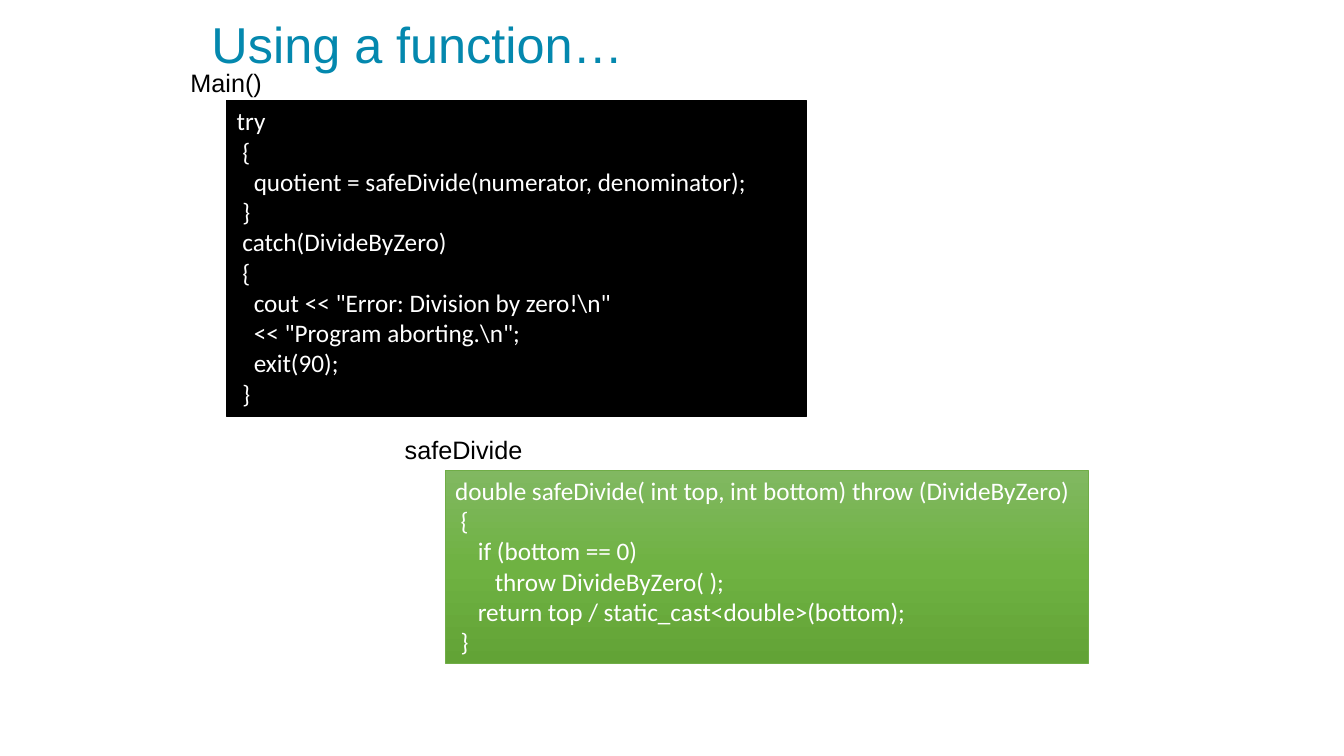
from copy import deepcopy

from pptx import Presentation
from pptx.dml.color import RGBColor
from pptx.enum.shapes import MSO_SHAPE
from pptx.enum.text import MSO_ANCHOR, PP_ALIGN
from pptx.util import Pt

MAIN_CODE = r'''try
 {
   quotient = safeDivide(numerator, denominator);
 }
 catch(DivideByZero)
 {
   cout << "Error: Division by zero!\n"
   << "Program aborting.\n";
   exit(90);
 }'''

SAFE_DIVIDE_CODE = '''double safeDivide( int top, int bottom) throw (DivideByZero)
 {
    if (bottom == 0)
       throw DivideByZero( );
    return top / static_cast<double>(bottom);
 }'''


def color(value):
    return RGBColor.from_string(value)


def write(frame, text, size, font, ink, wrap):
    frame.word_wrap = wrap
    frame.vertical_anchor = MSO_ANCHOR.TOP
    frame.text = text
    for paragraph in frame.paragraphs:
        paragraph.alignment = PP_ALIGN.LEFT
        for run in paragraph.runs:
            run.font.size = Pt(size)
            run.font.name = font
            run.font.color.rgb = color(ink)


def add_label(slide, text, left, top, width, height, size=18, ink="000000", wrap=False):
    label = slide.shapes.add_textbox(Pt(left), Pt(top), Pt(width), Pt(height))
    write(label.text_frame, text, size, "Arial", ink, wrap)


def fill_gradient(fill, shape, stops):
    """Fill from top to bottom with evenly spaced colours."""
    fill.gradient()
    fill.gradient_angle = 270
    stop_list = shape._element.spPr.gradFill.gsLst
    while len(stop_list) < len(stops):
        stop_list.append(deepcopy(stop_list[0]))
    for index, (stop, value) in enumerate(zip(fill.gradient_stops, stops)):
        stop.position = index / (len(stops) - 1)
        stop.color.rgb = color(value)


def add_code(slide, code, left, top, width, height, fills, edge, edge_width, wrap):
    panel = slide.shapes.add_shape(
        MSO_SHAPE.RECTANGLE, Pt(left), Pt(top), Pt(width), Pt(height))
    panel.shadow.inherit = False
    if len(fills) == 1:
        panel.fill.solid()
        panel.fill.fore_color.rgb = color(fills[0])
    else:
        fill_gradient(panel.fill, panel, fills)
    panel.line.color.rgb = color(edge)
    panel.line.width = Pt(edge_width)
    write(panel.text_frame, code, 18, "Calibri", "FFFFFF", wrap)


def main():
    deck = Presentation()
    deck.slide_width, deck.slide_height = Pt(960), Pt(540)
    slide = deck.slides.add_slide(deck.slide_layouts[6])

    # Title
    add_label(slide, "Using a function…", 144, 6, 576, 51, 36, "0488AE", True)

    # Calling code
    add_code(slide, MAIN_CODE, 162, 72, 414, 225.5, ["000000"], "000000", 1, True)
    add_label(slide, "Main()", 129, 44.5, 66, 29)

    # Called function
    add_code(slide, SAFE_DIVIDE_CODE, 318, 336, 459.5, 138,
             ["81B861", "6FB242", "62A336"], "70AD47", 0.5, False)
    add_label(slide, "safeDivide", 282, 306.5, 104.5, 29)

    deck.save("out.pptx")


if __name__ == "__main__":
    main()
